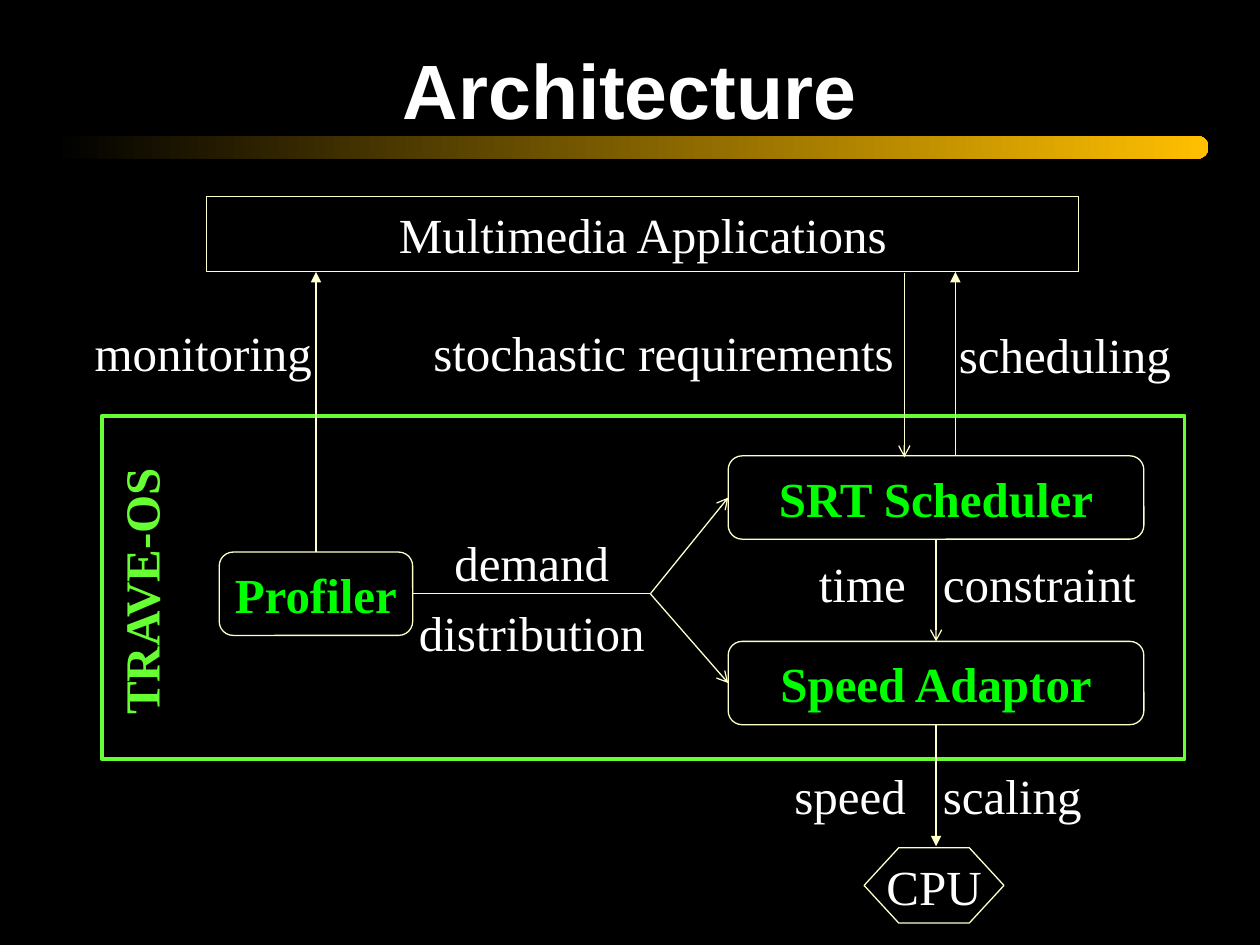
"""Builds the architecture slide: applications, operating system services and CPU."""
from dataclasses import dataclass
from typing import Optional

from lxml import etree
from pptx import Presentation
from pptx.dml.color import RGBColor
from pptx.enum.shapes import MSO_CONNECTOR, MSO_SHAPE
from pptx.enum.text import MSO_ANCHOR, PP_ALIGN
from pptx.oxml.ns import qn
from pptx.util import Cm, Pt

RECTANGLE, ROUNDED, HEXAGON = MSO_SHAPE.RECTANGLE, MSO_SHAPE.ROUNDED_RECTANGLE, MSO_SHAPE.HEXAGON
LEFT, CENTER, RIGHT = PP_ALIGN.LEFT, PP_ALIGN.CENTER, PP_ALIGN.RIGHT
MIDDLE, TOP = MSO_ANCHOR.MIDDLE, MSO_ANCHOR.TOP
STRAIGHT = MSO_CONNECTOR.STRAIGHT
SITE_TOP, SITE_LEFT, SITE_BOTTOM, SITE_RIGHT = range(4)

COLORS = {
    "background": "000000",
    "text": "FFFFFF",
    "outline": "FFFFCC",
    "service": "00FF00",
    "system": "66FF33",
    "bar": "FFBF00",
}
BODY_FONT, TITLE_FONT = "Times New Roman", "Arial"
SERVICE_WIDTH, SERVICE_HEIGHT = 8.38, 1.68
SERVICE_LEFT = 14.68
SERVICE_CENTER = SERVICE_LEFT + SERVICE_WIDTH / 2
PROFILER_CENTER = 6.37
FORK = (13.11, 11.97)


@dataclass
class Box:
    text: str
    left: float
    top: float
    width: float
    height: float
    kind: int = ROUNDED
    color: str = "service"
    outline: str = "outline"
    weight: float = 0.75


@dataclass
class Label:
    text: str
    left: float
    top: float
    width: float
    align: int
    height: float = 1.07
    spacing: float = 0.9
    color: str = "text"
    size: int = 28
    font: str = BODY_FONT
    bold: bool = False
    anchor: int = TOP
    rotation: int = 0


@dataclass
class Arrow:
    start: tuple[float, float]
    end: tuple[float, float]
    head: Optional[str] = None
    source: Optional[tuple[str, int]] = None
    target: Optional[tuple[str, int]] = None


BOXES = [
    Box("", 2.06, 8.38, 21.82, 6.93, RECTANGLE, outline="system", weight=2.25),
    Box("Multimedia Applications", 4.17, 3.96, 17.58, 1.52, RECTANGLE, "text"),
    Box("SRT Scheduler", SERVICE_LEFT, 9.19, SERVICE_WIDTH, SERVICE_HEIGHT),
    Box("Speed Adaptor", SERVICE_LEFT, 12.93, SERVICE_WIDTH, SERVICE_HEIGHT),
    Box("Profiler", 4.42, 11.13, 3.9, SERVICE_HEIGHT),
    Box("CPU", 17.42, 17.09, 2.82, 1.52, HEXAGON, "text"),
]
LABELS = [
    Label("Architecture", 1.9, 0.84, 21.59, CENTER, 1.9, 1, size=44,
          font=TITLE_FONT, bold=True, anchor=MIDDLE),
    Label("monitoring", 1.27, 6.63, 5.02, RIGHT),
    Label("stochastic requirements", 7.76, 6.63, 10.26, RIGHT),
    Label("scheduling", 19.33, 6.68, 4.52, LEFT),
    Label("time", 14.68, 11.3, 3.58, RIGHT),
    Label("constraint", 19.01, 11.3, 4.5, LEFT),
    Label("speed", 14.68, 15.57, 3.58, RIGHT),
    Label("scaling", 19.01, 15.57, 4.5, LEFT),
    Label("demand distribution", 8.28, 10.49, 4.88, CENTER, 2.84, 1.2),
    Label("TRAVE-OS", -0.25, 11.38, 6.05, CENTER, 1.09, 1,
          color="system", bold=True, rotation=270),
]
ARROWS = [
    Arrow((PROFILER_CENTER, 11.13), (PROFILER_CENTER, 5.48), "triangle", ("Profiler", SITE_TOP)),
    Arrow((18.23, 5.51), (18.23, 9.22), "arrow"),
    Arrow((19.26, 9.19), (19.26, 5.48), "triangle"),
    Arrow((8.32, 11.97), FORK, None, ("Profiler", SITE_RIGHT)),
    Arrow(FORK, (14.68, 10.03), "arrow", target=("SRT Scheduler", SITE_LEFT)),
    Arrow(FORK, (14.68, 13.77), "arrow", target=("Speed Adaptor", SITE_LEFT)),
    Arrow((SERVICE_CENTER, 10.87), (SERVICE_CENTER, 12.93), "arrow",
          ("SRT Scheduler", SITE_BOTTOM), ("Speed Adaptor", SITE_TOP)),
    Arrow((SERVICE_CENTER, 14.61), (SERVICE_CENTER, 17.06), "triangle",
          ("Speed Adaptor", SITE_BOTTOM)),
]


def rgb(name: str) -> RGBColor:
    """Look up a named colour."""
    return RGBColor.from_string(COLORS[name])


def write(shape, text: str, color: str, size: int = 28, font: str = BODY_FONT,
          bold: bool = False, align: int = CENTER, spacing: float = 1) -> None:
    """Write one formatted paragraph into a shape."""
    paragraph = shape.text_frame.paragraphs[0]
    paragraph.text = text
    paragraph.alignment = align
    paragraph.line_spacing = spacing
    paragraph.font.name = font
    paragraph.font.size = Pt(size)
    paragraph.font.bold = bold
    paragraph.font.color.rgb = rgb(color)


def draw_bar(slide) -> None:
    """Draw the fading bar under the title."""
    bar = slide.shapes.add_shape(ROUNDED, Cm(1.07), Cm(2.74), Cm(23.29), Cm(0.46))
    bar.adjustments[0] = 0.5
    bar.shadow.inherit = False
    bar.line.fill.background()
    bar.fill.gradient()
    bar.fill.gradient_angle = 0
    for stop, name in zip(bar.fill.gradient_stops, ("background", "bar")):
        stop.color.rgb = rgb(name)


def draw_box(slide, box: Box):
    """Draw an outlined component and return its shape."""
    shape = slide.shapes.add_shape(
        box.kind, Cm(box.left), Cm(box.top), Cm(box.width), Cm(box.height))
    shape.shadow.inherit = False
    shape.fill.background()
    shape.line.color.rgb = rgb(box.outline)
    shape.line.width = Pt(box.weight)
    if box.kind == HEXAGON:
        shape.adjustments[0] = 0.46
    if box.text:
        shape.text_frame.word_wrap = False
        shape.text_frame.vertical_anchor = MIDDLE
        write(shape, box.text, box.color, bold=box.color == "service")
    return shape


def draw_label(slide, label: Label) -> None:
    """Draw free-standing text."""
    shape = slide.shapes.add_textbox(
        Cm(label.left), Cm(label.top), Cm(label.width), Cm(label.height))
    shape.rotation = label.rotation
    frame = shape.text_frame
    frame.word_wrap = True
    frame.vertical_anchor = label.anchor
    frame.margin_left = frame.margin_right = frame.margin_top = frame.margin_bottom = 0
    write(shape, label.text, label.color, label.size, label.font,
          label.bold, label.align, label.spacing)


def draw_arrow(slide, arrow: Arrow, components: dict) -> None:
    """Draw a connector and join it to its components."""
    connector = slide.shapes.add_connector(
        STRAIGHT, *(Cm(value) for value in arrow.start + arrow.end))
    connector.line.color.rgb = rgb("outline")
    connector.line.width = Pt(0.75)
    if arrow.source:
        connector.begin_connect(components[arrow.source[0]], arrow.source[1])
    if arrow.target:
        connector.end_connect(components[arrow.target[0]], arrow.target[1])
    if arrow.head:
        etree.SubElement(connector.line._get_or_add_ln(), qn("a:tailEnd"), type=arrow.head)
    etree.SubElement(connector._element.spPr, qn("a:effectLst"))


def main() -> None:
    """Build and save the slide."""
    deck = Presentation()
    deck.slide_width, deck.slide_height = Cm(25.4), Cm(19.05)
    slide = deck.slides.add_slide(deck.slide_layouts[6])
    slide.background.fill.solid()
    slide.background.fill.fore_color.rgb = rgb("background")
    draw_bar(slide)
    components = {box.text: draw_box(slide, box) for box in BOXES}
    for label in LABELS:
        draw_label(slide, label)
    for arrow in ARROWS:
        draw_arrow(slide, arrow, components)
    deck.save("out.pptx")


if __name__ == "__main__":
    main()
